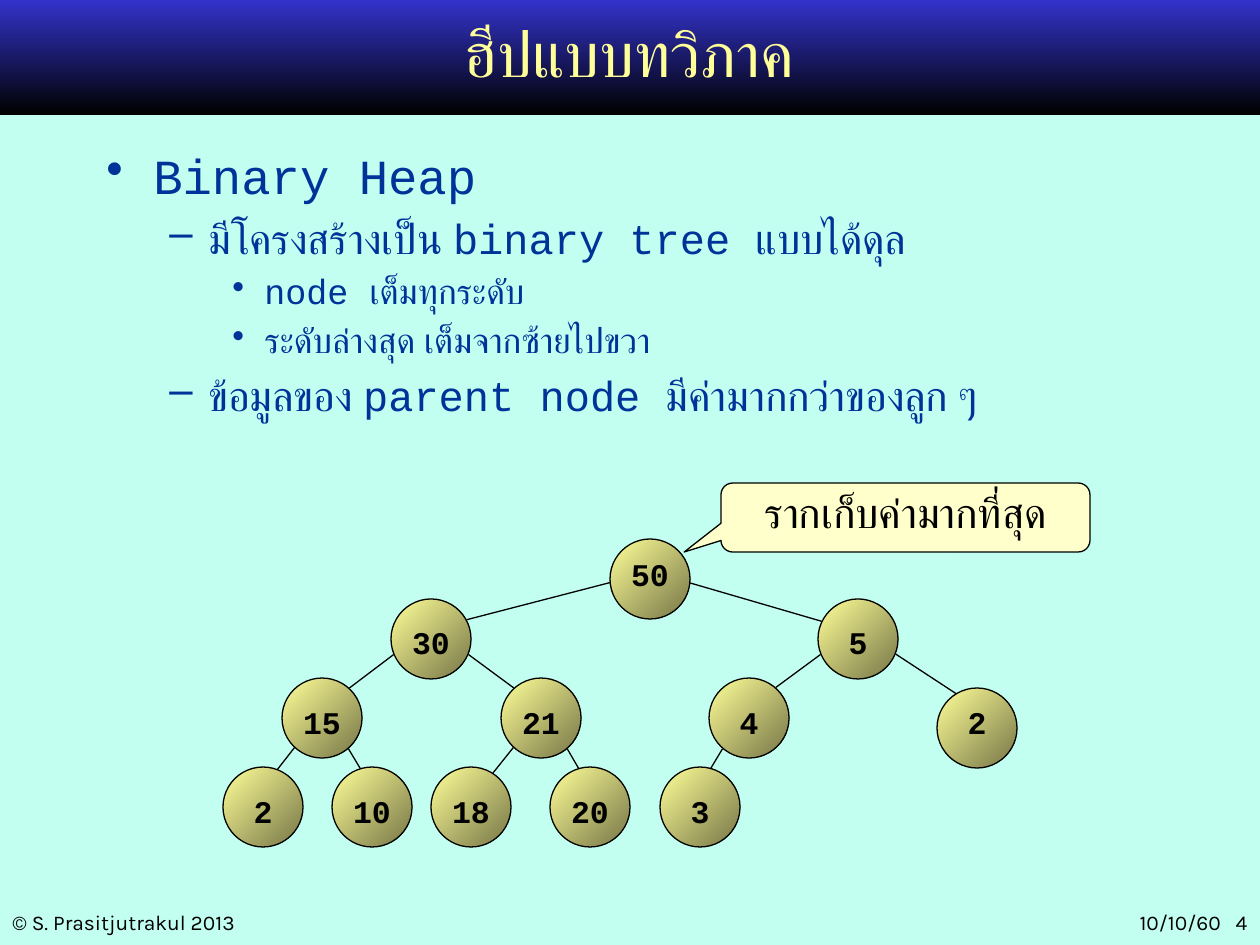
"""Build a slide that explains the binary heap with a tree diagram."""
import pptx
import pptx.dml.color
import pptx.enum.shapes
import pptx.enum.text
import pptx.oxml.ns
import pptx.util
from lxml import etree

SCALE = 914400 / 126
COLORS = {
    "background": "C2FFF0", "banner": "3333CC", "title": "FFFF99",
    "body": "003399", "black": "000000", "node": "FFFF99",
    "node_dark": "767647", "callout": "FFFFCC",
}
MONO, SANS = "Courier New", "Karla"
SHAPE = pptx.enum.shapes.MSO_SHAPE
ALIGN = pptx.enum.text.PP_ALIGN
ANCHOR = pptx.enum.text.MSO_ANCHOR

TITLE = "ฮีปแบบทวิภาค"
BULLETS = [
    (0, "Binary Heap"),
    (1, "มีโครงสร้างเป็น binary tree แบบได้ดุล"),
    (2, "node เต็มทุกระดับ"),
    (2, "ระดับล่างสุด เต็มจากซ้ายไปขวา"),
    (1, "ข้อมูลของ parent node มีค่ามากกว่าของลูก ๆ"),
]
# level: bullet, size in points, left margin px, hanging indent px
BULLET_STYLES = [("•", 28, 47, 47), ("–", 24, 102, 39), ("•", 20, 158, 32)]
CALLOUT = "รากเก็บค่ามากที่สุด"
FOOTERS = [
    ("© S. Prasitjutrakul 2013", 0, 410, ALIGN.LEFT),
    ("10/10/60   4", 987, 273, ALIGN.RIGHT),
]

# heap order: value, centre x, centre y, x where the line from the parent ends
NODES = [
    ("50", 650, 579, 650),
    ("30", 431, 639, 431), ("5", 858, 639, 848),
    ("15", 322, 718, 323), ("21", 541, 718, 541),
    ("4", 749, 718, 748), ("2", 977, 728, 978),
    ("2", 263, 807, 263), ("10", 372, 807, 372), ("18", 471, 807, 481),
    ("20", 590, 807, 590), ("3", 700, 807, 699),
]
DIAMETER = 80
LABEL_TOPS = [549, 617, 697, 786]
LINE_STARTS = [(30, 580), (30, 649), (20, 738)]
LINE_ENDS = [None, 629, 708, 788]


def px(*lengths):
    return [pptx.util.Emu(round(length * SCALE)) for length in lengths]


def rgb(name):
    return pptx.dml.color.RGBColor.from_string(COLORS[name])


def style_text(para, size, font, color, bold=False):
    for span in para.runs:
        span.font.size = pptx.util.Pt(size)
        span.font.name = font
        span.font.bold = bold
        span.font.color.rgb = rgb(color)


def add_text(shapes, text, place, size, font, color, align, bold=False,
             anchor=ANCHOR.TOP):
    box = shapes.add_textbox(*px(*place))
    frame = box.text_frame
    frame.word_wrap = True
    frame.vertical_anchor = anchor
    frame.text = text
    frame.paragraphs[0].alignment = align
    style_text(frame.paragraphs[0], size, font, color, bold)


def add_shape(shapes, kind, place, outlined=True):
    shape = shapes.add_shape(kind, *px(*place))
    shape.shadow.inherit = False
    if outlined:
        shape.line.color.rgb = rgb("black")
        shape.line.width = pptx.util.Pt(0.75)
    else:
        shape.line.fill.background()
    return shape


def fill_gradient(shape, names, angle):
    shape.fill.gradient()
    shape.fill.gradient_angle = angle
    for stop, name, position in zip(shape.fill.gradient_stops, names, (0, 1)):
        stop.color.rgb = rgb(name)
        stop.position = position


def add_line(shapes, start, end):
    straight = pptx.enum.shapes.MSO_CONNECTOR.STRAIGHT
    line = shapes.add_connector(straight, *px(*start, *end))
    line.line.color.rgb = rgb("black")
    line.line.width = pptx.util.Pt(0.75)
    etree.SubElement(line._element.spPr, pptx.oxml.ns.qn("a:effectLst"))


def add_bullets(shapes):
    frame = shapes.add_textbox(*px(94, 139, 1071, 305)).text_frame
    frame.word_wrap = True
    frame.text = "\n".join(text for level, text in BULLETS)
    for para, (level, text) in zip(frame.paragraphs, BULLETS):
        mark, size, margin, hanging = BULLET_STYLES[level]
        style_text(para, size, MONO, "body")
        para.level = level
        para.space_before = pptx.util.Pt(size * 0.2)
        properties = para._p.get_or_add_pPr()
        left, indent = px(margin, -hanging)
        properties.set("marL", str(left))
        properties.set("indent", str(indent))
        bullet = etree.SubElement(properties, pptx.oxml.ns.qn("a:buChar"))
        bullet.set("char", mark)


def level_of(index):
    return (index + 1).bit_length() - 1


def add_tree(shapes):
    for index, (value, x, y, end_x) in enumerate(NODES):
        if index:
            parent = (index - 1) // 2
            reach, start_y = LINE_STARTS[level_of(parent)]
            side = -1 if index % 2 else 1
            start = (NODES[parent][1] + side * reach, start_y)
            add_line(shapes, start, (end_x, LINE_ENDS[level_of(index)]))
    for value, x, y, end_x in NODES:
        place = (x - DIAMETER / 2, y - DIAMETER / 2, DIAMETER, DIAMETER)
        circle = add_shape(shapes, SHAPE.OVAL, place)
        fill_gradient(circle, ("node", "node_dark"), 315)


def add_labels(shapes):
    for index, (value, x, y, end_x) in enumerate(NODES):
        place = (x - 50, LABEL_TOPS[level_of(index)], 100, 50)
        add_text(shapes, value, place, 18, MONO, "black", ALIGN.CENTER, True)


def add_callout(shapes):
    callout = add_shape(shapes, SHAPE.ROUNDED_RECTANGULAR_CALLOUT,
                        (721, 483, 369, 69))
    for index, value in enumerate((-0.6, 0.5, 0.17)):
        callout.adjustments[index] = value
    callout.fill.solid()
    callout.fill.fore_color.rgb = rgb("callout")
    frame = callout.text_frame
    frame.text = CALLOUT
    frame.vertical_anchor = ANCHOR.TOP
    para = frame.paragraphs[0]
    para.alignment = ALIGN.CENTER
    para.line_spacing = 0.9
    style_text(para, 24, SANS, "black")


def main():
    deck = pptx.Presentation()
    deck.slide_width, deck.slide_height = px(1260, 945)
    page = deck.slides.add_slide(deck.slide_layouts[6])
    page.background.fill.solid()
    page.background.fill.fore_color.rgb = rgb("background")
    shapes = page.shapes
    for text, left, width, align in FOOTERS:
        add_text(shapes, text, (left, 903, width, 38), 12, SANS, "black", align)
    banner = add_shape(shapes, SHAPE.RECTANGLE, (0, 0, 1260, 115), False)
    fill_gradient(banner, ("banner", "black"), 270)
    add_tree(shapes.add_group_shape().shapes)
    add_text(shapes, TITLE, (94, 0, 1071, 105), 36, MONO, "title",
             ALIGN.CENTER, anchor=ANCHOR.MIDDLE)
    add_bullets(shapes)
    add_labels(shapes.add_group_shape().shapes)
    add_callout(shapes)
    deck.save("out.pptx")


if __name__ == "__main__":
    main()
